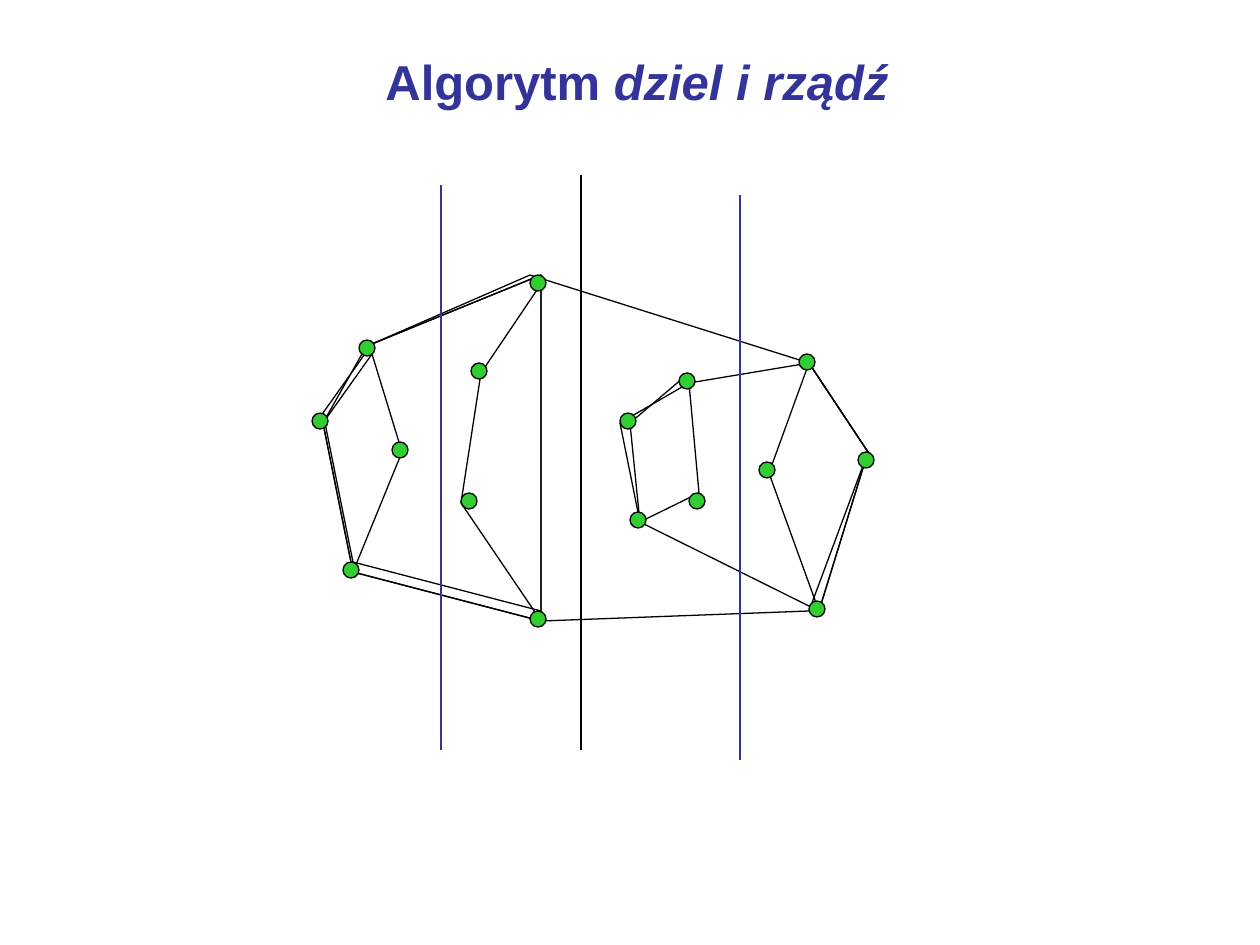
from lxml.etree import SubElement
from pptx import Presentation
from pptx.dml.color import RGBColor
from pptx.enum.shapes import MSO_CONNECTOR, MSO_SHAPE
from pptx.enum.text import MSO_AUTO_SIZE, PP_ALIGN
from pptx.oxml.ns import qn
from pptx.util import Pt

EMU_PER_PX = 914400 / 126
BLACK = RGBColor(0, 0, 0)
NAVY = RGBColor(0x33, 0x33, 0x99)
GREEN = RGBColor(0x33, 0xCC, 0x33)

TITLE = [("Algorytm ", False), ("dziel i rządź", True)]
TITLE_BOX = (373, 45, 528, 72)

HULL_EDGES = [((353, 572), (541, 621)), ((372, 344), (541, 275))]
OPEN_HULLS = [
    [(362, 354), (323, 423), (353, 572), (541, 621), (809, 611), (868, 452),
     (809, 363), (530, 275), (372, 344), (372, 354)],
    [(689, 373), (630, 423), (640, 522), (819, 611), (868, 452), (809, 363), (689, 383)],
]
CLOSED_HULLS = [
    [(372, 344), (323, 413), (353, 562), (541, 611), (541, 275)],
    [(809, 363), (769, 473), (819, 611), (868, 452)],
    [(689, 383), (620, 423), (640, 522), (699, 493)],
    [(541, 284), (481, 373), (461, 503), (541, 621)],
    [(372, 354), (323, 423), (353, 572), (402, 452)],
]
DOT_SIZE = 16
DOT_CORNERS = [
    (359, 340), (343, 562), (392, 442), (530, 275), (461, 493), (679, 373),
    (858, 452), (799, 354), (809, 601), (312, 413), (471, 363), (530, 611),
    (620, 413), (630, 512), (759, 462), (689, 493),
]
DIVIDERS = [  # x, top, bottom, colour
    (581, 175, 750, BLACK),
    (441, 185, 750, NAVY),
    (740, 195, 760, NAVY),
]


def px(*lengths):
    return [round(length * EMU_PER_PX) for length in lengths]


def set_line(shape, color=BLACK):
    shape.line.color.rgb = color
    shape.line.width = Pt(0.75)


def add_line(shapes, start, end, color=BLACK):
    line = shapes.add_connector(MSO_CONNECTOR.STRAIGHT, *px(*start, *end))
    set_line(line, color)
    SubElement(line._element.spPr, qn("a:effectLst"))


def add_hull(shapes, points, close):
    builder = shapes.build_freeform(*points[0], scale=EMU_PER_PX)
    builder.add_line_segments(points[1:], close=close)
    hull = builder.convert_to_shape()
    hull.shadow.inherit = False
    hull.fill.background()
    set_line(hull)


def add_dot(shapes, left, top):
    dot = shapes.add_shape(MSO_SHAPE.OVAL, *px(left, top, DOT_SIZE, DOT_SIZE))
    dot.shadow.inherit = False
    dot.fill.solid()
    dot.fill.fore_color.rgb = GREEN
    set_line(dot)


def add_title(shapes):
    box = shapes.add_textbox(*px(*TITLE_BOX))
    frame = box.text_frame
    frame.word_wrap = False
    frame.auto_size = MSO_AUTO_SIZE.SHAPE_TO_FIT_TEXT
    para = frame.paragraphs[0]
    para.alignment = PP_ALIGN.CENTER
    for text, italic in TITLE:
        span = para.add_run()
        span.text = text
        font = span.font
        font.name, font.size = "Arial", Pt(28)
        font.bold, font.italic = True, italic
        font.color.rgb = NAVY


def main():
    deck = Presentation()
    deck.slide_width, deck.slide_height = px(1260, 945)
    shapes = deck.slides.add_slide(deck.slide_layouts[6]).shapes
    for start, end in HULL_EDGES:
        add_line(shapes, start, end)
    for points in OPEN_HULLS:
        add_hull(shapes, points, close=False)
    for points in CLOSED_HULLS:
        add_hull(shapes, points, close=True)
    for left, top in DOT_CORNERS:
        add_dot(shapes, left, top)
    for x, top, bottom, color in DIVIDERS:
        add_line(shapes, (x, top), (x, bottom), color)
    add_title(shapes)
    deck.save("out.pptx")


if __name__ == "__main__":
    main()
